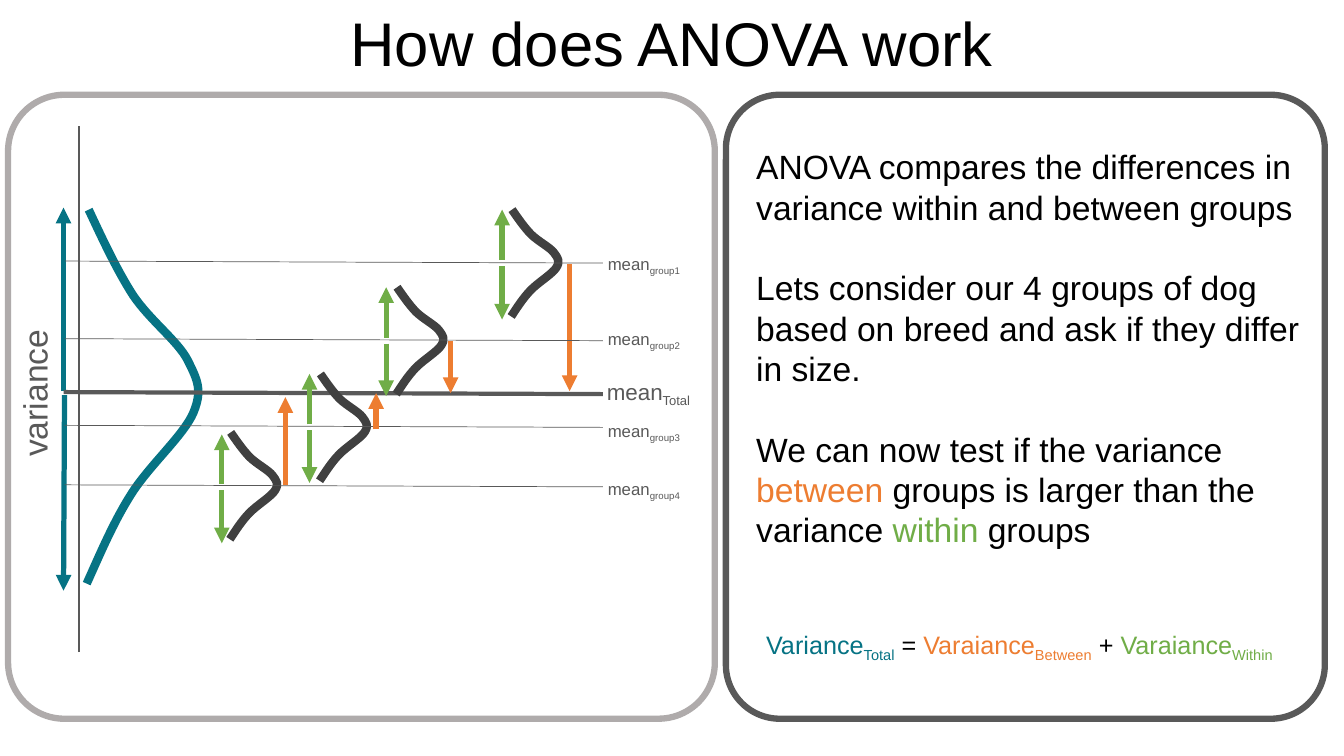
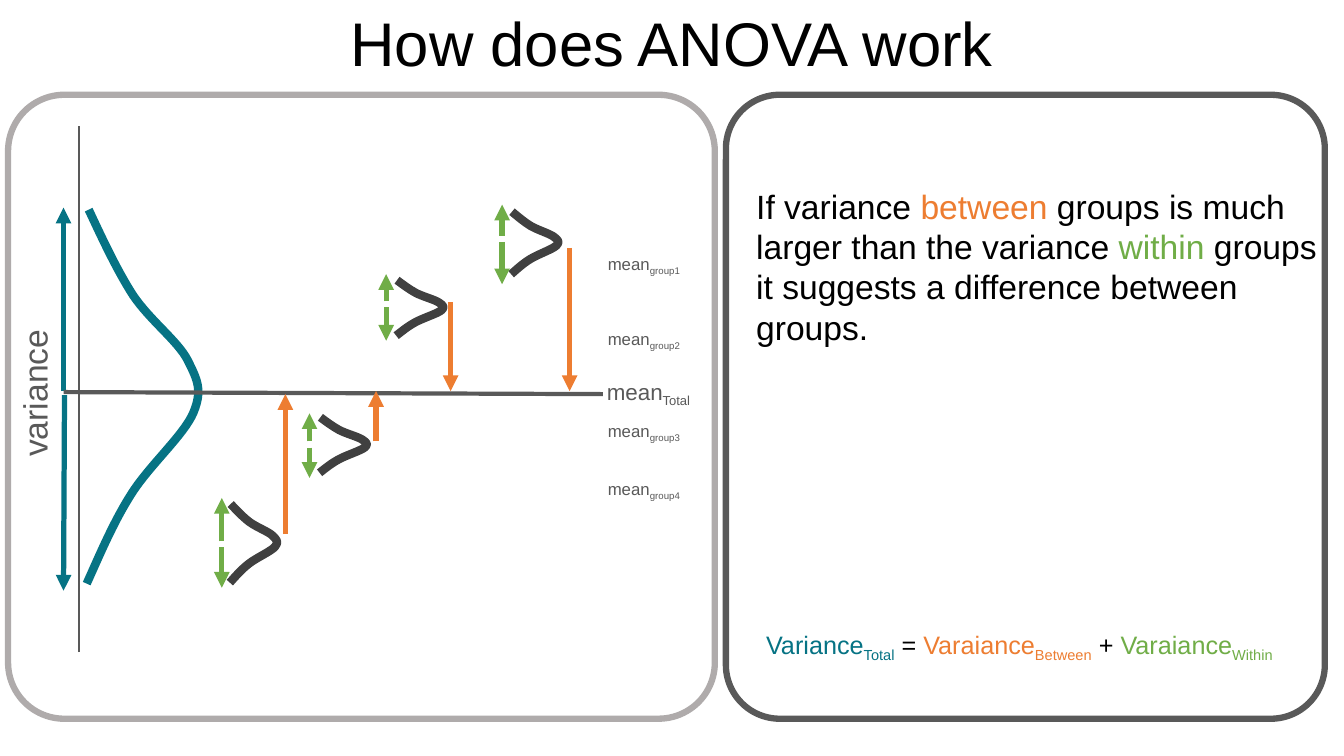
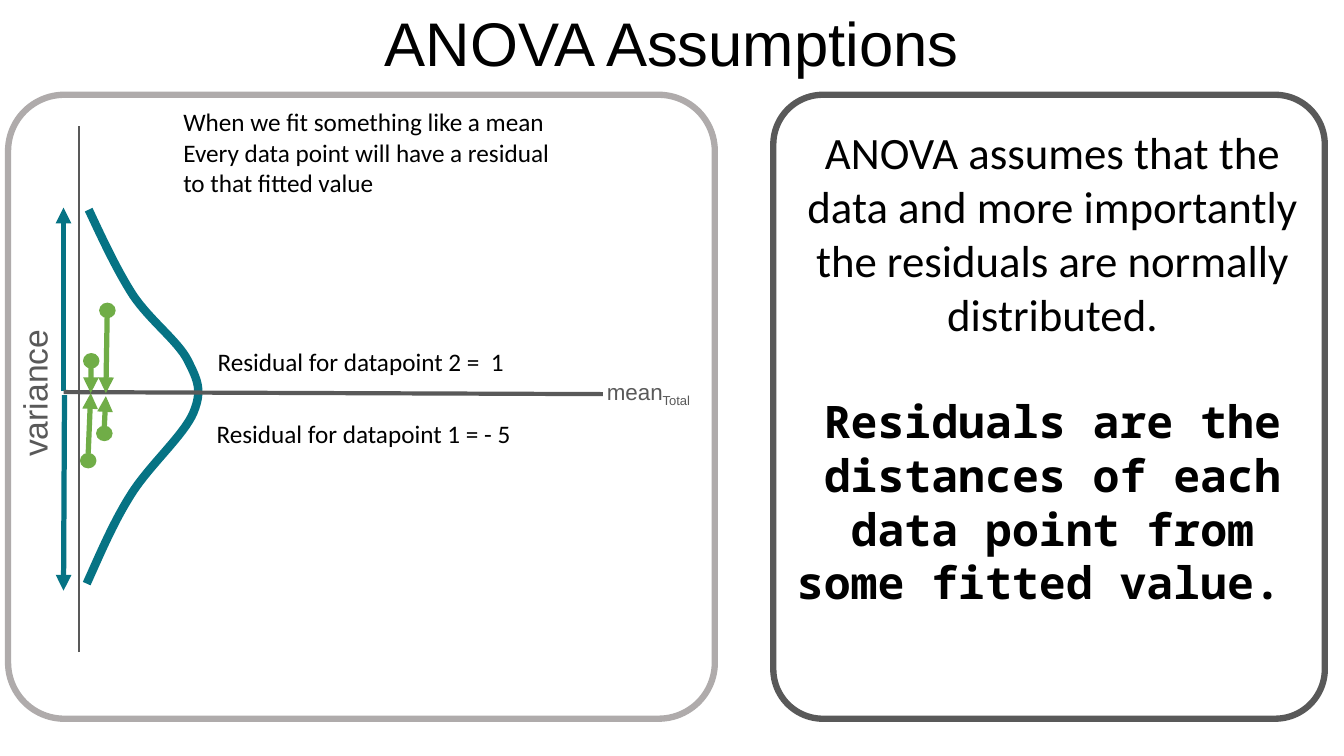
from dataclasses import dataclass

from lxml.etree import SubElement
from pptx import Presentation
from pptx.dml.color import RGBColor
from pptx.enum.shapes import MSO_CONNECTOR as Connector, MSO_SHAPE as Preset
from pptx.enum.text import MSO_ANCHOR as Anchor, MSO_AUTO_SIZE as AutoSize, PP_ALIGN as Align
from pptx.oxml.ns import qn
from pptx.util import Pt

# Shared look; 100 px make one inch
SCALE = 9144
BLACK, GREY, SILVER, DARK = "000000", "595959", "AFABAB", "404040"
TEAL, ORANGE, GREEN = "067384", "ED7D31", "70AD47"
SANS, HUMANIST, MONO = "Arial", "Calibri", "Noto Sans Mono"

# Bell curve lying on its side: a start point, then three points per cubic
BELL_WIDTH, BELL_HEIGHT = 111, 371
BELL = [(2, 0), (16, 30), (30, 60), (46, 85), (63, 110), (90, 130), (100, 149),
        (110, 169), (115, 179), (106, 201), (97, 223), (63, 253), (45, 281),
        (27, 309), (14, 340), (0, 371)]


@dataclass
class Box:
    left: int
    top: int
    width: int
    height: int

    def inner(self, left, top, width, height):
        return Box(self.left + left, self.top + top, width, height)

    def point(self, x, y):
        return px(self.left + x), px(self.top + y)

    def emu(self):
        return [px(v) for v in (self.left, self.top, self.width, self.height)]


@dataclass
class Group:
    name: str
    mean: int
    label_top: int
    bell_left: int
    within_x: int
    between_x: int


@dataclass
class Spread:
    bell_top: int
    bell_height: int
    within_top: int
    within_middle: int
    within_bottom: int
    between_start: int
    between_end: int


TITLE_BOX = Box(0, 0, 1333, 84)
DIAGRAM_BOX = Box(8, 94, 701, 619)
TEXT_BOX = Box(720, 94, 594, 619)
NARROW_TEXT_BOX = Box(767, 94, 547, 619)

GROUPS = [Group("group1", 165, 153, 499, 490, 557), Group("group2", 242, 227, 385, 375, 439),
          Group("group3", 328, 318, 309, 299, 365), Group("group4", 387, 376, 220, 212, 275)]
WIDE_SPREADS = [Spread(114, 106, 114, 167, 223, 168, 294),
                Spread(191, 106, 191, 244, 299, 244, 296),
                Spread(277, 106, 277, 330, 385, 332, 296),
                Spread(335, 106, 337, 389, 445, 387, 300)]
NARROW_SPREADS = [Spread(116, 62, 109, 143, 188, 152, 294),
                  Spread(184, 55, 178, 208, 244, 206, 294),
                  Spread(320, 55, 316, 347, 380, 344, 294),
                  Spread(406, 78, 400, 446, 489, 436, 297)]


def px(value):
    return round(value * SCALE)


def color(value):
    return RGBColor.from_string(value)


def set_line(line, ink, width):
    line.color.rgb = color(ink)
    line.width = Pt(width)


def format_run(span, size, font, ink=BLACK, bold=False):
    span.font.size, span.font.name = Pt(size), font
    span.font.bold = bold
    span.font.color.rgb = color(ink)


def write_spans(para, spans, size, font):
    """Each span is (text, colour) or (text, colour, True) for a subscript."""
    for text, ink, *subscript in spans:
        span = para.add_run()
        span.text = text
        format_run(span, size, font, ink)
        if subscript:
            span.font._element.set("baseline", "-25000")


def add_label(page, box, spans, size, font=SANS):
    label = page.shapes.add_textbox(*box.emu())
    frame = label.text_frame
    frame.word_wrap = False
    frame.auto_size = AutoSize.SHAPE_TO_FIT_TEXT
    write_spans(frame.paragraphs[0], spans, size, font)
    return label


def add_line(page, box, start, end, ink, width, arrow=False):
    line = page.shapes.add_connector(Connector.STRAIGHT, *box.point(*start), *box.point(*end))
    set_line(line.line, ink, width)
    properties = line._element.spPr
    if arrow:
        SubElement(properties.find(qn("a:ln")), qn("a:tailEnd"), type="triangle")
    SubElement(properties, qn("a:effectLst"))
    return line


def add_arrow(page, box, start, end, ink):
    return add_line(page, box, start, end, ink, 3.75, arrow=True)


def add_panel(page, box, ink):
    panel = page.shapes.add_shape(Preset.ROUNDED_RECTANGLE, *box.emu())
    panel.adjustments[0] = 0.09
    panel.shadow.inherit = False
    panel.fill.background()
    set_line(panel.line, ink, 4.5)


def add_bell(page, box, ink):
    corners = [box.point(x * box.width / BELL_WIDTH, y * box.height / BELL_HEIGHT)
               for x, y in BELL]
    builder = page.shapes.build_freeform(*corners[0])
    builder.add_line_segments(corners[1:], close=False)
    bell = builder.convert_to_shape()
    # Turn every three segments into one cubic curve
    outline = bell._element.find(".//" + qn("a:path"))
    segments = outline.findall(qn("a:lnTo"))
    for first in range(0, len(segments), 3):
        curve = SubElement(outline, qn("a:cubicBezTo"))
        for segment in segments[first:first + 3]:
            curve.append(segment[0])
            outline.remove(segment)
    # The frame fits the curve, not its control points
    bell.width = px(box.width)
    outline.set("w", str(px(box.width)))
    bell.shadow.inherit = False
    bell.fill.background()
    set_line(bell.line, ink, 6)


def add_page(deck, title):
    page = deck.slides.add_slide(deck.slide_layouts[1])
    heading = page.shapes.title
    heading.left, heading.top, heading.width, heading.height = TITLE_BOX.emu()
    frame = heading.text_frame
    frame.text = title
    frame.auto_size = AutoSize.NONE
    frame.vertical_anchor = Anchor.TOP
    frame.paragraphs[0].alignment = Align.CENTER
    format_run(frame.paragraphs[0].runs[0], 44, SANS)
    return page


def prepare_body(page, box, count, align, gap):
    """Move the body placeholder and return its plain, unbulleted paragraphs."""
    body = page.placeholders[1]
    body.left, body.top, body.width, body.height = box.emu()
    frame = body.text_frame
    frame.auto_size = AutoSize.NONE
    frame.vertical_anchor = Anchor.TOP
    paras = [frame.paragraphs[0]] + [frame.add_paragraph() for _ in range(count - 1)]
    for index, para in enumerate(paras):
        para.alignment = align
        para.space_before = Pt(gap if index else 0)
        properties = para._p.get_or_add_pPr()
        properties.set("marL", "0")
        properties.set("indent", "0")
        SubElement(properties, qn("a:buNone"))
    return paras


def draw_total(page, box):
    """Panel, axis and total distribution, which every diagram has."""
    add_panel(page, box, SILVER)
    add_line(page, box, (70, 553), (70, 31), GREY, 1.5)
    add_arrow(page, box, (56, 298), (55, 492), TEAL)
    add_arrow(page, box, (55, 294), (55, 112), TEAL)
    add_bell(page, box.inner(78, 114, BELL_WIDTH, BELL_HEIGHT), TEAL)
    add_line(page, box, (55, 295), (590, 297), GREY, 3)
    add_label(page, box.inner(584, 276, 108, 37), [("mean", GREY), ("Total", GREY, True)], 16)
    add_label(page, box.inner(-48, 270, 148, 50), [("variance", GREY)], 24).rotation = 270


def draw_groups(page, box, spreads, mean_lines):
    for group, spread in zip(GROUPS, spreads):
        add_bell(page, box.inner(group.bell_left, spread.bell_top, 47, spread.bell_height), DARK)
        if mean_lines:
            add_line(page, box, (56, group.mean), (590, group.mean + 2), GREY, 0.5)
        # Between-group distance
        x = group.between_x
        add_arrow(page, box, (x, spread.between_start), (x, spread.between_end), ORANGE)
        # Within-group spread, up and down from its middle
        x, middle = group.within_x, spread.within_middle
        add_arrow(page, box, (x, middle - 3), (x, spread.within_top), GREEN)
        add_arrow(page, box, (x, middle + 3), (x, spread.within_bottom), GREEN)
        add_label(page, box.inner(585, group.label_top, 97, 30),
                  [("mean", GREY), (group.name, GREY, True)], 12)


def draw_residuals(page, box):
    for left, top, end in [(72, 356, (82, 296)), (75, 257, (82, 296)),
                           (88, 329, (97, 299)), (91, 207, (97, 296))]:
        dot = page.shapes.add_shape(Preset.OVAL, *box.inner(left, top, 15, 14).emu())
        dot.shadow.inherit = False
        dot.fill.solid()
        dot.fill.fore_color.rgb = color(GREEN)
        set_line(dot.line, GREEN, 1)
        add_arrow(page, box, (left + 7, top), end, GREEN).begin_connect(dot, 0)
    for left, top, text in [(197, 316, "Residual for datapoint 1 = - 5"),
                            (198, 245, "Residual for datapoint 2 =  1")]:
        add_label(page, box.inner(left, top, 320, 40), [(text, BLACK)], 18, HUMANIST)
    # Introduction above the curve
    intro = page.shapes.add_textbox(*box.inner(164, 7, 407, 101).emu())
    intro.text_frame.word_wrap = True
    intro.text_frame.text = ("When we fit something like a mean\n"
                             "Every data point will have a residual\n"
                             "to that fitted value")
    for para in intro.text_frame.paragraphs:
        format_run(para.runs[0], 18, HUMANIST)


def draw_explanation(page, box, body_top, paragraphs, gap):
    """Right panel with coloured prose and the variance formula."""
    add_panel(page, box, GREY)
    body_box = box.inner(20, body_top, 585, 459 - body_top)
    for para, spans in zip(prepare_body(page, body_box, len(paragraphs), Align.LEFT, gap),
                           paragraphs):
        write_spans(para, spans, 24, SANS)
    add_label(page, box.inner(30, 525, 546, 40), [
        ("Variance", TEAL), ("Total", TEAL, True), (" = ", BLACK),
        ("Varaiance", ORANGE), ("Between", ORANGE, True), (" + ", BLACK),
        ("Varaiance", GREEN), ("Within", GREEN, True)], 18)


def draw_assumptions(page, box):
    add_panel(page, box, GREY)
    first, second = prepare_body(page, box.inner(13, 25, 528, 549), 2, Align.CENTER, 38.4)
    first.text = ("ANOVA assumes that the data and more importantly the residuals "
                  "are normally distributed.")
    format_run(first.runs[0], 32, HUMANIST)
    second.text = "Residuals are the distances of each data point from some fitted value. "
    format_run(second.runs[0], 32, MONO, bold=True)


def build_variance_page(deck, spreads, mean_lines, body_top, paragraphs, gap):
    page = add_page(deck, "How does ANOVA work")
    draw_total(page, DIAGRAM_BOX)
    draw_groups(page, DIAGRAM_BOX, spreads, mean_lines)
    draw_explanation(page, TEXT_BOX, body_top, paragraphs, gap)


def build_assumptions_page(deck):
    page = add_page(deck, "ANOVA Assumptions")
    draw_total(page, DIAGRAM_BOX)
    draw_residuals(page, DIAGRAM_BOX)
    draw_assumptions(page, NARROW_TEXT_BOX)


def main():
    deck = Presentation()
    deck.slide_width, deck.slide_height = px(1333), px(750)
    build_variance_page(deck, WIDE_SPREADS, True, 46, [
        [("ANOVA compares the differences in variance within and between groups", BLACK)],
        [("Lets consider our 4 groups of dog based on breed and ask if they differ in size.",
          BLACK)],
        [("We can now test if the variance ", BLACK), ("between", ORANGE),
         (" groups is larger than the variance ", BLACK), ("within", GREEN),
         (" groups", BLACK)]], 28.8)
    build_variance_page(deck, NARROW_SPREADS, False, 85, [
        [("If variance ", BLACK), ("between", ORANGE),
         (" groups is much larger than the variance ", BLACK), ("within", GREEN),
         (" groups", BLACK)],
        [("it suggests a difference between groups.", BLACK)]], 0)
    build_assumptions_page(deck)
    deck.save("out.pptx")


if __name__ == "__main__":
    main()
